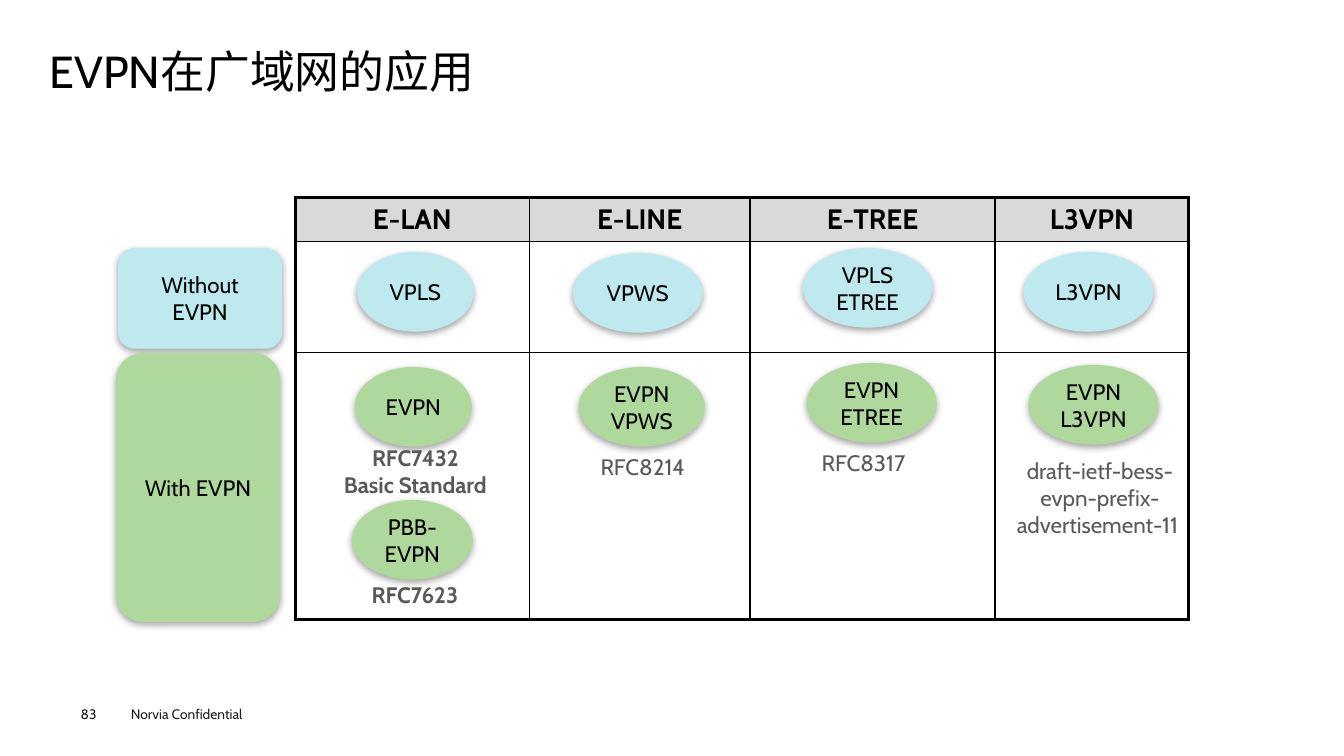
from itertools import accumulate
from lxml import etree
from pptx import Presentation
from pptx.dml.color import RGBColor
from pptx.enum.shapes import MSO_SHAPE
from pptx.enum.text import MSO_ANCHOR, PP_ALIGN
from pptx.oxml import parse_xml
from pptx.oxml.ns import nsdecls, qn
from pptx.util import Inches, Pt

OVAL, ROUND = MSO_SHAPE.OVAL, MSO_SHAPE.ROUNDED_RECTANGLE
LEFT, MID = PP_ALIGN.LEFT, PP_ALIGN.CENTER
TOP, CENTER = MSO_ANCHOR.TOP, MSO_ANCHOR.MIDDLE
BLACK = RGBColor(0x00, 0x00, 0x00)
INK = RGBColor(0x1D, 0x1D, 0x1B)
GREY = RGBColor(0x59, 0x59, 0x59)
HEAD = RGBColor(0xD9, 0xD9, 0xD9)
BLUE = RGBColor(0xBE, 0xE9, 0xEE)
GREEN = RGBColor(0xAF, 0xD8, 0x9C)
FONT = "Cabin"

# Content
TITLE = "EVPN在广域网的应用"
FOOTER = "Norvia Confidential"
PAGE = "83"
HEADS = ["E-LAN", "E-LINE", "E-TREE", "L3VPN"]
# Row labels: text, fill, left, top, height
LABELS = [
    ("Without EVPN", BLUE, 1.17, 2.46, 1),
    ("With EVPN", GREEN, 1.15, 3.5, 2.67),
]
# Ovals: text, column, row, offset in the cell, width
OVALS = [
    ("VPLS", 0, 1, 0.61, 0.12, 1.16),
    ("VPWS", 1, 1, 0.43, 0.13, 1.29),
    ("VPLS\nETREE", 2, 1, 0.52, 0.08, 1.29),
    ("L3VPN", 3, 1, 0.28, 0.12, 1.29),
    ("EVPN", 0, 2, 0.59, 0.16, 1.16),
    ("PBB-EVPN", 0, 2, 0.56, 1.48, 1.2),
    ("EVPN\nVPWS", 1, 2, 0.49, 0.16, 1.25),
    ("EVPN\nETREE", 2, 2, 0.56, 0.12, 1.29),
    ("EVPN\nL3VPN", 3, 2, 0.33, 0.14, 1.29),
]
# Notes in the last row: text, column, offset in the cell, size, format
NOTES = [
    ("RFC7432\nBasic Standard", 0, 0.29, 0.88, 1.8, 0.64, {"bold": True, "wrap": False}),
    ("RFC7623", 0, 0.62, 2.24, 1.13, 0.37, {"bold": True, "wrap": False}),
    ("RFC8214", 1, 0.32, 0.97, 1.61, 0.37, {}),
    ("RFC8317", 2, 0.61, 0.93, 1.49, 0.37, {"align": LEFT}),
    ("draft-ietf-bess-evpn-prefix-advertisement-11\u00a0", 3, 0.02, 1.01, 2.04, 1.18, {}),
]

# Grid
COLS = [2.32, 2.19, 2.43, 1.92]
ROWS = [0.42, 1.1, 2.65]
X = list(accumulate(COLS, initial=2.93))
Y = list(accumulate(ROWS, initial=1.96))
OVAL_H, LABEL_W = 0.79, 1.63
THIN, THICK = 1, 2.25

deck = Presentation()
deck.slide_width, deck.slide_height = Inches(13.33), Inches(7.5)
slide = deck.slides.add_slide(deck.slide_layouts[6])


def write(frame, text, size=16, color=BLACK, bold=False, align=MID,
          anchor=CENTER, wrap=True, inset=None, spacing=None):
    frame.word_wrap = wrap
    frame.vertical_anchor = anchor
    if inset is not None:
        frame.margin_left = frame.margin_right = Inches(inset)
        frame.margin_top = frame.margin_bottom = Inches(inset)
    for i, line in enumerate(text.split("\n")):
        para = frame.add_paragraph() if i else frame.paragraphs[0]
        para.alignment = align
        if spacing:
            para.line_spacing = spacing
        run = para.add_run()
        run.text = line
        font = run.font
        font.name, font.size, font.bold = FONT, Pt(size), bold
        font.color.rgb = color


def label(text, x, y, w, h, **form):
    box = slide.shapes.add_textbox(Inches(x), Inches(y), Inches(w), Inches(h))
    write(box.text_frame, text, **{"anchor": TOP, **form})


def block(kind, text, fill, x, y, w, h):
    shape = slide.shapes.add_shape(kind, Inches(x), Inches(y), Inches(w), Inches(h))
    shape.fill.solid()
    shape.fill.fore_color.rgb = fill
    shape.line.fill.background()
    shape.shadow.inherit = False
    glow = parse_xml(
        f'<a:outerShdw {nsdecls("a")} blurRad="{Pt(5)}" dist="{Pt(1.8)}" '
        'dir="5400000" rotWithShape="0"><a:srgbClr val="000000">'
        '<a:alpha val="35000"/></a:srgbClr></a:outerShdw>')
    shape._element.spPr.find(qn("a:effectLst")).append(glow)
    write(shape.text_frame, text)


def border(cell, edges):
    props = cell._tc.get_or_add_tcPr()
    for i, (side, width) in enumerate(edges.items()):
        line = etree.Element(qn(f"a:ln{side}"), w=str(Pt(width)))
        fill = etree.SubElement(line, qn("a:solidFill"))
        etree.SubElement(fill, qn("a:srgbClr"), val=str(BLACK))
        props.insert(i, line)


# Title and footer
label(TITLE, 0.49, 0.49, 12.35, 0.54, size=32, align=LEFT, inset=0, spacing=0.9)
label(FOOTER, 1.2, 6.95, 1.6, 0.27, size=9.8, color=INK, align=LEFT)
label(PAGE, 0.8, 7, 0.55, 0.16, size=9.8, color=INK, align=LEFT, inset=0)

# Table
table = slide.shapes.add_table(
    len(ROWS), len(COLS), Inches(X[0]), Inches(Y[0]),
    Inches(sum(COLS)), Inches(sum(ROWS))).table
table.first_row = table.horz_banding = False
for col, width in zip(table.columns, COLS):
    col.width = Inches(width)
for r, height in enumerate(ROWS):
    table.rows[r].height = Inches(height)
    for c, head in enumerate(HEADS):
        cell = table.cell(r, c)
        if r == 0:
            cell.fill.solid()
            cell.fill.fore_color.rgb = HEAD
            write(cell.text_frame, head, size=20, bold=True)
            cell.vertical_anchor = CENTER
        else:
            cell.fill.background()
        border(cell, {
            "L": THICK if c == 0 else THIN,
            "R": THICK if c == len(COLS) - 1 else THIN,
            "T": THICK if r == 0 else THIN,
            "B": THICK if r == len(ROWS) - 1 else THIN,
        })

# Row labels, ovals and notes
for text, fill, x, y, h in LABELS:
    block(ROUND, text, fill, x, y, LABEL_W, h)
for text, c, r, dx, dy, w in OVALS:
    block(OVAL, text, BLUE if r == 1 else GREEN, X[c] + dx, Y[r] + dy, w, OVAL_H)
for text, c, dx, dy, w, h, form in NOTES:
    label(text, X[c] + dx, Y[2] + dy, w, h, color=GREY, **form)

deck.save("out.pptx")
